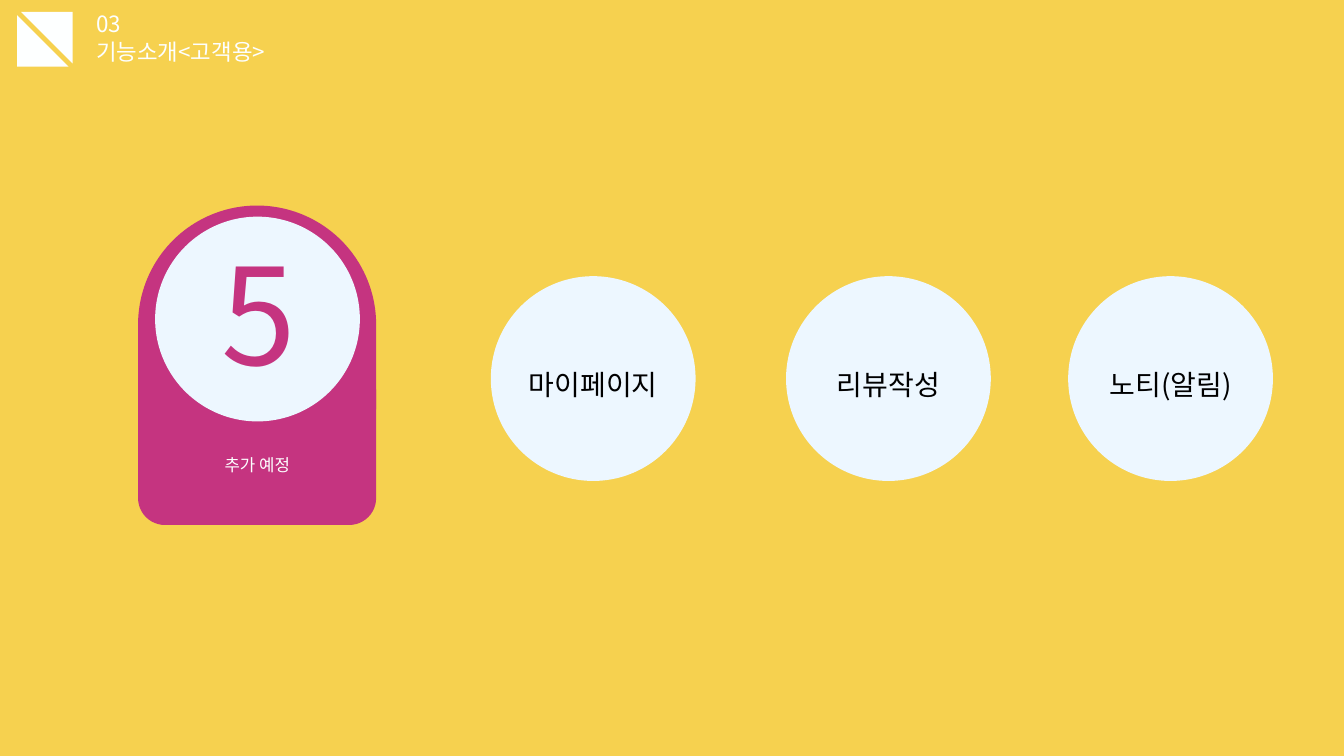
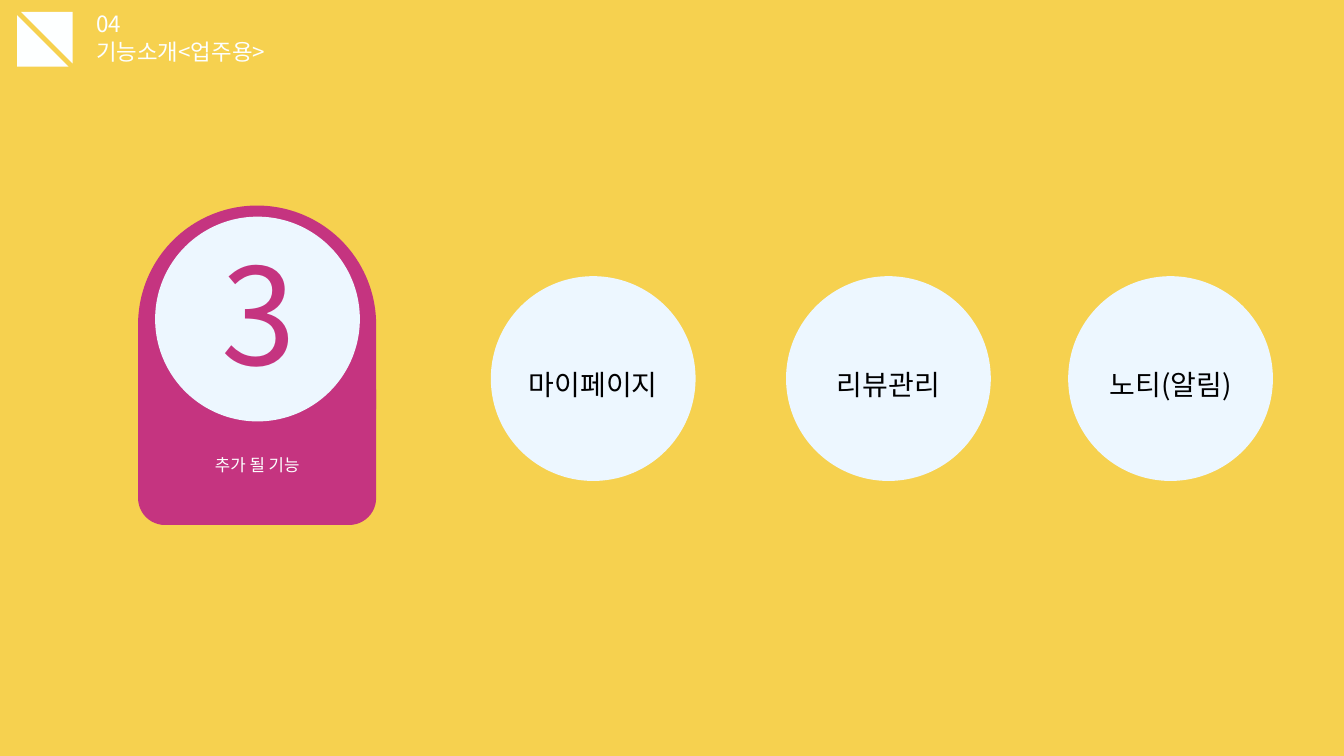
from dataclasses import dataclass

from lxml.etree import SubElement
from pptx import Presentation
from pptx.dml.color import RGBColor
from pptx.enum.shapes import MSO_SHAPE as Preset
from pptx.enum.text import MSO_AUTO_SIZE as AutoSize, PP_ALIGN as Align
from pptx.oxml.ns import qn
from pptx.shapes.autoshape import Shape
from pptx.slide import Slide
from pptx.util import Cm, Pt

YELLOW = RGBColor(0xF6, 0xD1, 0x4F)
WHITE = RGBColor(0xFD, 0xFF, 0xFF)
MAGENTA = RGBColor(0xC5, 0x34, 0x80)
PALE_BLUE = RGBColor(0xED, 0xF7, 0xFF)
BLACK = RGBColor(0x00, 0x00, 0x00)
FONT = "Noto Sans CJK KR"

CIRCLE_SIZE = 5.16
LABEL_WIDTH = 5.97
FEATURE_LEFTS = (12.37, 19.81, 26.92)
FEATURE_TOP = 6.96


@dataclass(frozen=True)
class Box:
    left: float
    top: float
    width: float
    height: float

    def lengths(self) -> tuple[Cm, Cm, Cm, Cm]:
        return Cm(self.left), Cm(self.top), Cm(self.width), Cm(self.height)


@dataclass(frozen=True)
class FeaturePage:
    section: str
    title: str
    count: str
    caption: str
    features: tuple[str, str, str]


PAGES = (
    FeaturePage("03", "기능소개<고객용>", "5", "추가 예정",
                ("마이페이지", "리뷰작성", "노티(알림)")),
    FeaturePage("04", "기능소개<업주용>", "3", "추가 될 기능",
                ("마이페이지", "리뷰관리", "노티(알림)")),
)


def add_filled(slide: Slide, preset: Preset, box: Box, color: RGBColor) -> Shape:
    shape = slide.shapes.add_shape(preset, *box.lengths())
    shape.shadow.inherit = False
    shape.fill.solid()
    shape.fill.fore_color.rgb = color
    shape.line.fill.background()
    return shape


def add_text(slide: Slide, text: str, box: Box, *, size: int,
             color: RGBColor, align: Align = Align.CENTER) -> None:
    frame = slide.shapes.add_textbox(*box.lengths()).text_frame
    frame.word_wrap = True
    frame.auto_size = AutoSize.SHAPE_TO_FIT_TEXT
    paragraph = frame.paragraphs[0]
    paragraph.alignment = align
    run = paragraph.add_run()
    run.text = text
    run.font.size = Pt(size)
    run.font.color.rgb = color
    run.font.name = FONT
    SubElement(run.font._element, qn("a:ea")).set("typeface", FONT)


def add_header(slide: Slide, section: str, title: str) -> None:
    add_filled(slide, Preset.RIGHT_TRIANGLE, Box(0.43, 0.38, 1.3, 1.3), WHITE)
    upper = add_filled(slide, Preset.RIGHT_TRIANGLE, Box(0.53, 0.3, 1.3, 1.3), WHITE)
    upper.rotation = 180
    for text, top, width in ((section, 0.13, 1.88), (title, 0.84, 6.55)):
        add_text(slide, text, Box(2.18, top, width, 0.94),
                 size=16, color=WHITE, align=Align.LEFT)


def add_badge(slide: Slide, count: str, caption: str) -> None:
    for top, height, rounding in ((5.18, 8, 0.5), (9.17, 4.06, 0.167)):
        panel = add_filled(slide, Preset.ROUNDED_RECTANGLE,
                           Box(3.48, top, 6, height), MAGENTA)
        panel.adjustments[0] = rounding
    add_filled(slide, Preset.OVAL, Box(3.91, 5.46, CIRCLE_SIZE, CIRCLE_SIZE), PALE_BLUE)
    add_text(slide, count, Box(4.95, 5.69, 3.15, 4.32), size=96, color=MAGENTA)
    add_text(slide, caption, Box(3.5, 11.33, LABEL_WIDTH, 0.74), size=12, color=WHITE)


def add_feature(slide: Slide, label: str, left: float) -> None:
    add_filled(slide, Preset.OVAL,
               Box(left, FEATURE_TOP, CIRCLE_SIZE, CIRCLE_SIZE), PALE_BLUE)
    label_left = left + (CIRCLE_SIZE - LABEL_WIDTH) / 2
    add_text(slide, label, Box(label_left, 9.14, LABEL_WIDTH, 1.09),
             size=20, color=BLACK)


def main() -> None:
    presentation = Presentation()
    presentation.slide_width = Cm(33.87)
    presentation.slide_height = Cm(19.05)
    for page in PAGES:
        slide = presentation.slides.add_slide(presentation.slide_layouts[6])
        slide.background.fill.solid()
        slide.background.fill.fore_color.rgb = YELLOW
        add_header(slide, page.section, page.title)
        add_badge(slide, page.count, page.caption)
        for label, left in zip(page.features, FEATURE_LEFTS):
            add_feature(slide, label, left)
    presentation.save("out.pptx")


if __name__ == "__main__":
    main()
